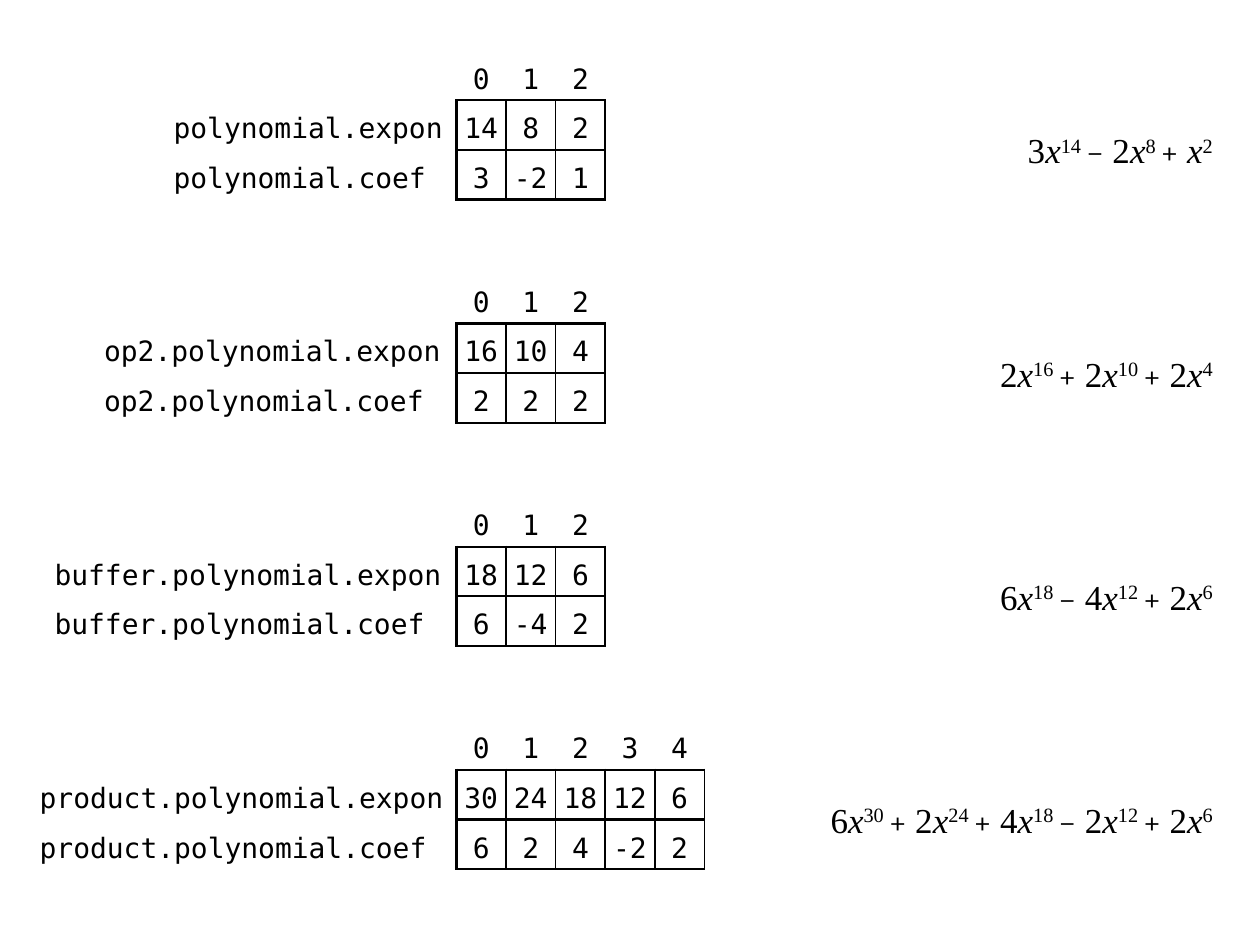
"""Build a slide showing four polynomials as exponent and coefficient arrays."""
import dataclasses

import lxml.etree
import pptx
import pptx.dml.color
import pptx.enum.text
import pptx.oxml.ns
import pptx.util
from pptx.util import Cm, Pt


@dataclasses.dataclass(frozen=True)
class Theme:
    ink: pptx.dml.color.RGBColor = pptx.dml.color.RGBColor(0, 0, 0)
    code_font: str = "DejaVu Sans Mono"
    math_font: str = "Times New Roman"
    sign_font: str = "Cambria"
    code_size: int = 16
    math_size: int = 20
    sign_size: int = 18
    thick: float = 1.5
    thin: float = 1


@dataclasses.dataclass(frozen=True)
class Polynomial:
    name: str
    exponents: tuple
    coefficients: tuple
    label_width: float
    label_inset: float
    formula_width: float


THEME = Theme()
CELL = 1
ARRAY_LEFT = 9.2
FORMULA_RIGHT = 24.7
FIRST_TOP = 1.02
PITCH = 4.5
NO_STYLE = "{2D5ABB26-0587-4C30-8999-92F81FD0307C}"
MIDDLE = pptx.enum.text.MSO_ANCHOR.MIDDLE
ALIGN = pptx.enum.text.PP_ALIGN
POLYNOMIALS = [
    Polynomial("polynomial", (14, 8, 2), (3, -2, 1), 6, 0.3, 5),
    Polynomial("op2.polynomial", (16, 10, 4), (2, 2, 2), 7.5, 0.4, 5.5),
    Polynomial("buffer.polynomial", (18, 12, 6), (6, -4, 2), 8.5, 0.4, 5.6),
    Polynomial("product.polynomial", (30, 24, 18, 12, 6), (6, 2, 4, -2, 2), 8.5, 0.1, 10),
]


def set_borders(cell, widths):
    """Draw the cell's left, right, top and bottom borders; zero means none."""
    properties = cell._tc.get_or_add_tcPr()
    qualified = pptx.oxml.ns.qn
    for side, width in zip("LRTB", widths):
        line = lxml.etree.SubElement(properties, qualified(f"a:ln{side}"), w=str(Pt(width)))
        if width:
            fill = lxml.etree.SubElement(line, qualified("a:solidFill"))
            lxml.etree.SubElement(fill, qualified("a:srgbClr"), val=str(THEME.ink))
        else:
            lxml.etree.SubElement(line, qualified("a:noFill"))


def border_widths(row, column):
    """Return the border widths for a position in an array table."""
    thick, thin = THEME.thick, THEME.thin
    if row == 0:
        return 0, 0, 0, thick if column else 0
    if column == 0:
        return 0, thick, 0, 0
    return thick if column == 1 else thin, thin, thick, thick


def fill_cell(cell, text, is_label, inset):
    """Write one code-styled cell."""
    cell.margin_top = cell.margin_bottom = 0
    cell.margin_left = Cm(inset) if is_label else 0
    cell.margin_right = Cm(0.25) if is_label else 0
    cell.vertical_anchor = MIDDLE
    cell.fill.background()
    paragraph = cell.text_frame.paragraphs[0]
    paragraph.text = text
    paragraph.alignment = ALIGN.LEFT if is_label else ALIGN.CENTER
    paragraph.line_spacing = 1.25
    paragraph.font.name = THEME.code_font
    paragraph.font.size = Pt(THEME.code_size)
    paragraph.font.color.rgb = THEME.ink


def add_array_table(slide, polynomial, top):
    """Add the index, exponent and coefficient rows of a polynomial."""
    count = len(polynomial.exponents)
    rows = [
        ("", *range(count)),
        (f"{polynomial.name}.expon", *polynomial.exponents),
        (f"{polynomial.name}.coef", *polynomial.coefficients),
    ]
    width = polynomial.label_width
    table = slide.shapes.add_table(
        len(rows), count + 1, Cm(ARRAY_LEFT - width), Cm(top),
        Cm(width + count * CELL), Cm(len(rows) * CELL)).table
    table.first_row = table.horz_banding = False
    table._tbl.tblPr.find(pptx.oxml.ns.qn("a:tableStyleId")).text = NO_STYLE
    for index, column in enumerate(table.columns):
        column.width = Cm(CELL if index else width)
    for row_index, values in enumerate(rows):
        table.rows[row_index].height = Cm(CELL)
        for column_index, value in enumerate(values):
            cell = table.cell(row_index, column_index)
            set_borders(cell, border_widths(row_index, column_index))
            fill_cell(cell, str(value), column_index == 0, polynomial.label_inset)


def add_run(paragraph, text, font=THEME.math_font, size=THEME.math_size,
            italic=False, superscript=False):
    """Append a run to a formula."""
    run = paragraph.add_run()
    run.text = text
    run.font.name = font
    run.font.size = Pt(size)
    run.font.italic = italic
    if superscript:
        run._r.get_or_add_rPr().set("baseline", "30000")


def add_formula(slide, polynomial, top):
    """Add the right-aligned formula spelled out from the arrays."""
    width = polynomial.formula_width
    box = slide.shapes.add_textbox(
        Cm(FORMULA_RIGHT - width), Cm(top), Cm(width), Cm(CELL))
    frame = box.text_frame
    frame.word_wrap = True
    frame.vertical_anchor = MIDDLE
    frame.margin_top = frame.margin_bottom = 0
    paragraph = frame.paragraphs[0]
    paragraph.alignment = ALIGN.RIGHT
    paragraph.font.color.rgb = THEME.ink
    last = len(polynomial.exponents) - 1
    terms = zip(polynomial.coefficients, polynomial.exponents)
    for index, (coefficient, exponent) in enumerate(terms):
        factor = "" if abs(coefficient) == 1 else str(abs(coefficient))
        if index:
            sign = "−" if coefficient < 0 else "+"
            add_run(paragraph, sign, THEME.sign_font, THEME.sign_size)
            factor = f" {factor}"
        add_run(paragraph, factor)
        add_run(paragraph, "x", italic=True)
        gap = " " if index < last else ""
        add_run(paragraph, f"{exponent}{gap}", superscript=True)


def main():
    """Build and save the slide."""
    presentation = pptx.Presentation()
    presentation.slide_width = Cm(25.4)
    presentation.slide_height = Cm(19.05)
    slide = presentation.slides.add_slide(presentation.slide_layouts[6])
    for index, polynomial in enumerate(POLYNOMIALS):
        top = FIRST_TOP + index * PITCH
        add_array_table(slide, polynomial, top)
        add_formula(slide, polynomial, top + 1.5 * CELL)
    presentation.save("out.pptx")


if __name__ == "__main__":
    main()
